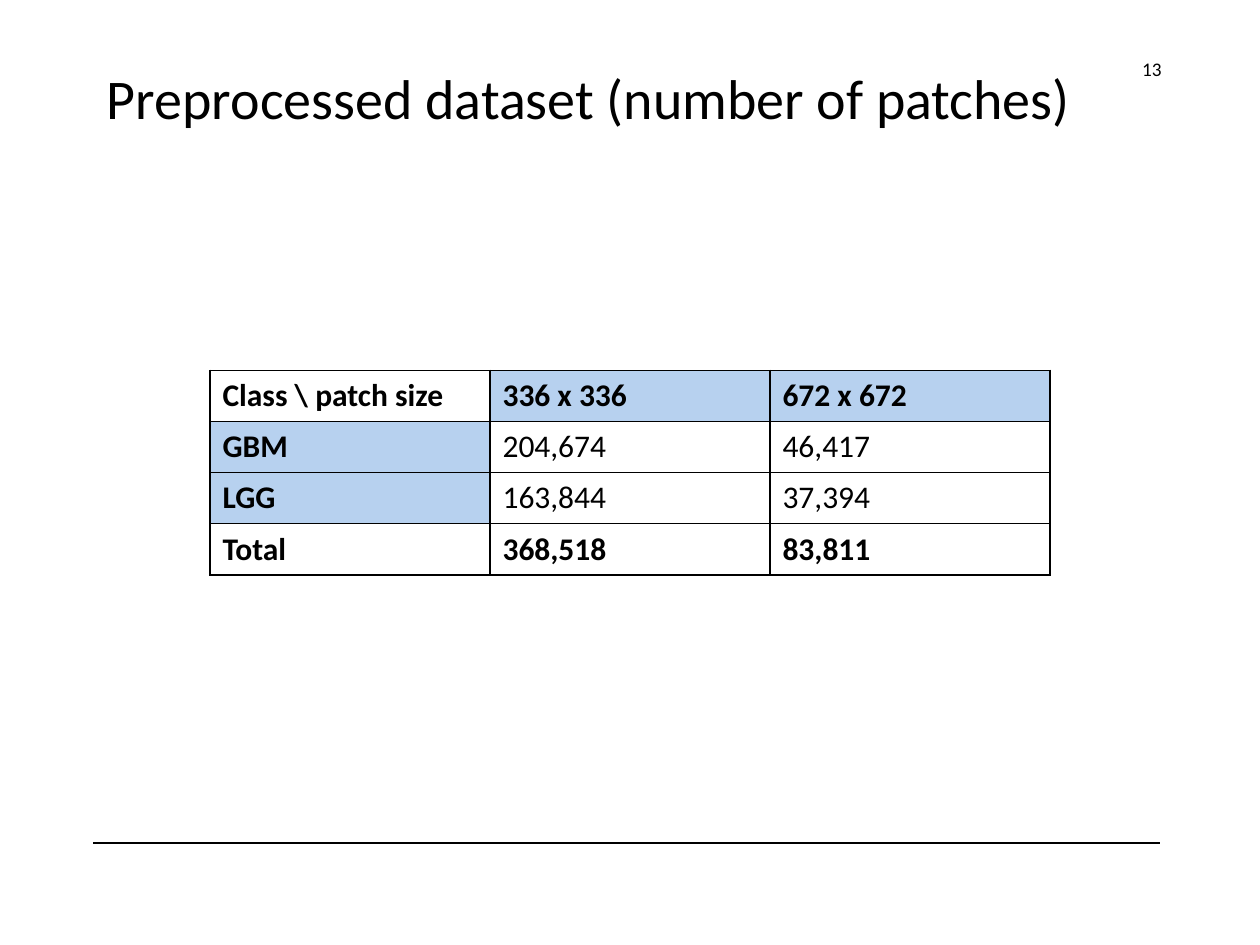
from dataclasses import dataclass

from lxml import etree
from pptx import Presentation
from pptx.dml.color import RGBColor
from pptx.enum.shapes import MSO_CONNECTOR
from pptx.enum.text import MSO_ANCHOR, PP_ALIGN
from pptx.oxml.ns import qn
from pptx.slide import Slide
from pptx.table import _Cell
from pptx.text.text import _Paragraph
from pptx.util import Pt

STRAIGHT = MSO_CONNECTOR.STRAIGHT
TOP, MIDDLE = MSO_ANCHOR.TOP, MSO_ANCHOR.MIDDLE
LEFT, RIGHT = PP_ALIGN.LEFT, PP_ALIGN.RIGHT

BLACK = RGBColor(0x00, 0x00, 0x00)
LIGHT_BLUE = RGBColor(0xB7, 0xD1, 0xEF)
FONT = "Calibri"

COLUMN_WIDTH = 160
ROW_HEIGHT = 29.2
PATCH_COUNTS = [
    ("Class \\ patch size", "336 x 336", "672 x 672"),
    ("GBM", "204,674", "46,417"),
    ("LGG", "163,844", "37,394"),
    ("Total", "368,518", "83,811"),
]


@dataclass(frozen=True)
class Label:
    text: str
    left: float
    top: float
    width: float
    height: float
    size: float
    anchor: MSO_ANCHOR
    alignment: PP_ALIGN


LABELS = [
    Label("Preprocessed dataset (number of patches)", 54, 33, 624, 65.5, 32, TOP, LEFT),
    Label("13", 627, 28.8, 44, 20.9, 11, MIDDLE, RIGHT),
]


def style_paragraph(paragraph: _Paragraph, size: float, bold: bool = False) -> None:
    font = paragraph.font
    font.name = FONT
    font.size = Pt(size)
    font.bold = bold
    font.color.rgb = BLACK


def add_label(slide: Slide, label: Label) -> None:
    box = slide.shapes.add_textbox(
        Pt(label.left), Pt(label.top), Pt(label.width), Pt(label.height)
    )
    frame = box.text_frame
    frame.word_wrap = True
    frame.vertical_anchor = label.anchor
    paragraph = frame.paragraphs[0]
    paragraph.text = label.text
    paragraph.alignment = label.alignment
    style_paragraph(paragraph, label.size)


def add_footer_rule(slide: Slide) -> None:
    rule = slide.shapes.add_connector(STRAIGHT, Pt(53.3), Pt(481.7), Pt(663.1), Pt(481.7))
    rule.line.color.rgb = BLACK
    rule.line.width = Pt(0.75)
    etree.SubElement(rule._element.spPr, qn("a:effectLst"))


def add_borders(cell: _Cell) -> None:
    properties = cell._tc.get_or_add_tcPr()
    for side in ("a:lnL", "a:lnR", "a:lnT", "a:lnB"):
        border = etree.SubElement(properties, qn(side), w=str(Pt(1)))
        fill = etree.SubElement(border, qn("a:solidFill"))
        etree.SubElement(fill, qn("a:srgbClr"), val=str(BLACK))


def add_patch_table(slide: Slide) -> None:
    row_count, column_count = len(PATCH_COUNTS), len(PATCH_COUNTS[0])
    table = slide.shapes.add_table(
        row_count, column_count, Pt(120), Pt(211.7),
        Pt(COLUMN_WIDTH * column_count), Pt(ROW_HEIGHT * row_count),
    ).table
    table.first_row = False
    table.horz_banding = False
    last_row = row_count - 1
    for column in table.columns:
        column.width = Pt(COLUMN_WIDTH)
    for row_index, values in enumerate(PATCH_COUNTS):
        table.rows[row_index].height = Pt(ROW_HEIGHT)
        for column_index, value in enumerate(values):
            cell = table.cell(row_index, column_index)
            add_borders(cell)
            is_column_header = row_index == 0 and column_index > 0
            is_class_name = column_index == 0 and 0 < row_index < last_row
            if is_column_header or is_class_name:
                cell.fill.solid()
                cell.fill.fore_color.rgb = LIGHT_BLUE
            else:
                cell.fill.background()
            paragraph = cell.text_frame.paragraphs[0]
            paragraph.text = value
            bold = row_index in (0, last_row) or column_index == 0
            style_paragraph(paragraph, 18, bold)


def main() -> None:
    presentation = Presentation()
    presentation.slide_width = Pt(720)
    presentation.slide_height = Pt(540)
    slide = presentation.slides.add_slide(presentation.slide_layouts[6])
    add_footer_rule(slide)
    for label in LABELS:
        add_label(slide, label)
    add_patch_table(slide)
    presentation.save("out.pptx")


if __name__ == "__main__":
    main()
